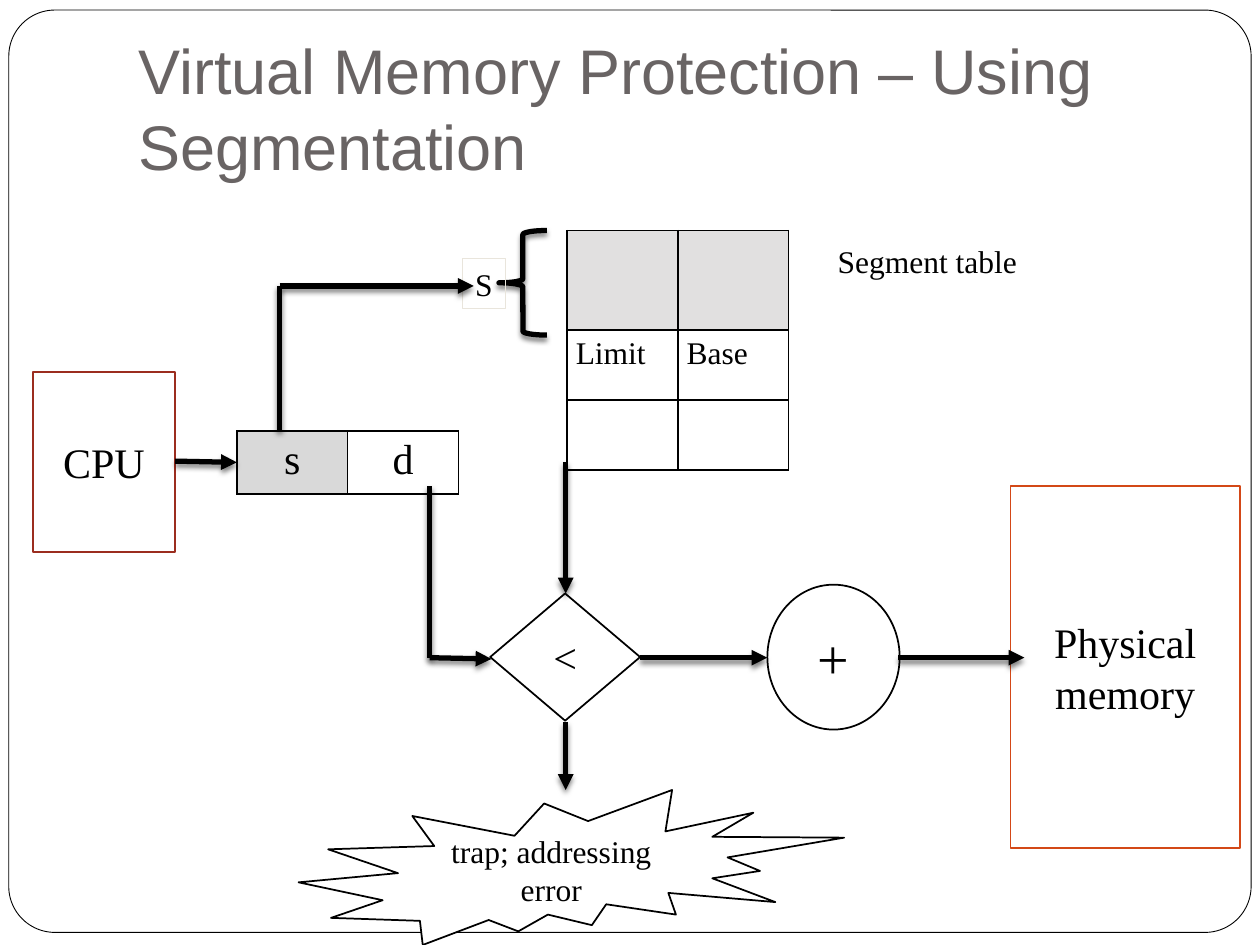
"""Build a slide showing virtual memory protection by segmentation."""
from lxml import etree
from pptx import Presentation
from pptx.dml.color import RGBColor
from pptx.enum.shapes import MSO_CONNECTOR, MSO_SHAPE
from pptx.enum.text import MSO_ANCHOR, PP_ALIGN
from pptx.oxml import parse_xml
from pptx.oxml.ns import nsdecls, qn
from pptx.util import Inches, Pt

LEFT, CENTER = PP_ALIGN.LEFT, PP_ALIGN.CENTER
TOP, MIDDLE, BOTTOM = MSO_ANCHOR.TOP, MSO_ANCHOR.MIDDLE, MSO_ANCHOR.BOTTOM
STRAIGHT = MSO_CONNECTOR.STRAIGHT
RECT, ROUNDED = MSO_SHAPE.RECTANGLE, MSO_SHAPE.ROUNDED_RECTANGLE
DIAMOND, OVAL = MSO_SHAPE.FLOWCHART_DECISION, MSO_SHAPE.OVAL
BURST, BRACE = MSO_SHAPE.EXPLOSION2, MSO_SHAPE.LEFT_BRACE

HEX = {
    "white": "FFFFFF", "black": "000000", "title": "696464",
    "cpu": "9B2D1F", "memory": "D34817", "label": "E9E5DC",
    "selector": "D9D9D9", "entry": "E1E0E0",
}
COLOR = {name: RGBColor.from_string(value) for name, value in HEX.items()}
SERIF, SANS = "Times New Roman", "Arial"

prs = Presentation()
prs.slide_width, prs.slide_height = Inches(10), Inches(7.5)
COL, ROW = prs.slide_width / 100, prs.slide_height / 75
slide = prs.slides.add_slide(prs.slide_layouts[6])
shapes = slide.shapes


def write(frame, text, size, align=CENTER, anchor=MIDDLE, font=SERIF, color="black"):
    frame.word_wrap = True
    frame.vertical_anchor = anchor
    paragraph = frame.paragraphs[0]
    paragraph.alignment = align
    run = paragraph.add_run()
    run.text = text
    run.font.size, run.font.name = Pt(size), font
    run.font.color.rgb = COLOR[color]


def cast_shadow(properties):
    for effects in properties.findall(qn("a:effectLst")):
        properties.remove(effects)
    properties.append(parse_xml(
        f'<a:effectLst {nsdecls("a")}><a:outerShdw blurRad="{Pt(3)}" dist="{Pt(2)}" '
        f'dir="5400000" rotWithShape="0"><a:srgbClr val="{HEX["black"]}">'
        '<a:alpha val="50000"/></a:srgbClr></a:outerShdw></a:effectLst>'))


frame_border = shapes.add_shape(
    ROUNDED, int(0.7 * COL), int(0.8 * ROW), int(98.6 * COL), int(73.2 * ROW))
frame_border.adjustments[0] = 0.05
frame_border.shadow.inherit = False
frame_border.fill.solid()
frame_border.fill.fore_color.rgb = COLOR["white"]
frame_border.line.color.rgb = COLOR["black"]
frame_border.line.width = Pt(0.5)

title = shapes.add_textbox(int(10 * COL), int(3 * ROW), int(85 * COL), int(12.5 * ROW))
title.text_frame.margin_bottom = Inches(0.1)
write(title.text_frame, "Virtual Memory Protection – Using Segmentation", 36,
      LEFT, BOTTOM, SANS, "title")

tables = [
    (18.8, 34.2, [4.7], [["s", "d"]], [["selector", "white"]], 24, CENTER),
    (45, 18.3, [7.9, 5.55, 5.55], [["", ""], ["Limit", "Base"], ["", ""]],
     [["entry"] * 2, ["white"] * 2, ["white"] * 2], 18, LEFT),
]
for left, top, heights, texts, fills, size, align in tables:
    table = shapes.add_table(len(heights), 2, int(left * COL), int(top * ROW),
                             int(17.6 * COL), int(sum(heights) * ROW)).table
    table.first_row = table.horz_banding = False
    for column in table.columns:
        column.width = int(8.8 * COL)
    for row, height, row_texts, row_fills in zip(table.rows, heights, texts, fills):
        row.height = int(height * ROW)
        for cell, text, fill in zip(row.cells, row_texts, row_fills):
            cell.margin_left = cell.margin_right = Inches(0.07)
            cell.margin_top = cell.margin_bottom = Inches(0.05)
            cell.fill.solid()
            cell.fill.fore_color.rgb = COLOR[fill]
            if text:
                write(cell.text_frame, text, size, align, TOP)
            for place, side in enumerate(("lnL", "lnR", "lnT", "lnB")):
                cell._tc.get_or_add_tcPr().insert(place, parse_xml(
                    f'<a:{side} {nsdecls("a")} w="{Pt(1)}"><a:solidFill>'
                    f'<a:srgbClr val="{HEX["black"]}"/></a:solidFill></a:{side}>'))

segment_caption = shapes.add_textbox(
    int(65.5 * COL), int(18.7 * ROW), int(18.5 * COL), int(4 * ROW))
write(segment_caption.text_frame, "Segment table", 18, LEFT, TOP)

brace = shapes.add_shape(BRACE, int(39.6 * COL), int(18.3 * ROW), int(3.8 * COL), int(8.3 * ROW))
brace.fill.background()
brace.line.color.rgb = COLOR["black"]
brace.line.width = Pt(3)
cast_shadow(brace._element.spPr)

blocks = [
    (RECT, 2.6, 29.5, 11.3, 14.3, "cpu", 1, "CPU", 24),
    (DIAMOND, 38.9, 47.1, 11.9, 10.1, "black", 1, "<", 24),
    (OVAL, 60.9, 46.4, 10.5, 11.5, "black", 1, "+", 32),
    (RECT, 80.2, 38.6, 18.2, 28.7, "memory", 1, "Physical memory", 24),
    (RECT, 36.7, 20.5, 3.4, 4, "label", 0.75, "S", 18),
    (BURST, 23.7, 62.7, 43.3, 12.3, "black", 1, "trap; addressing error", 18),
]
for kind, left, top, width, height, outline, weight, text, size in blocks:
    block = shapes.add_shape(
        kind, int(left * COL), int(top * ROW), int(width * COL), int(height * ROW))
    block.shadow.inherit = False
    block.fill.solid()
    block.fill.fore_color.rgb = COLOR["white"]
    if text == "S":
        block.fill.background()
    block.line.color.rgb = COLOR[outline]
    block.line.width = Pt(weight)
    write(block.text_frame, text, size)
    block.text_frame.word_wrap = text != "S"

flows = [
    (13.9, 36.6, 18.8, 36.7, True),
    (34.1, 52.2, 39, 52.3, True),
    (50.8, 52.2, 60.9, 52.2, True),
    (71.3, 52.2, 81.3, 52.2, True),
    (44.9, 57.3, 44.9, 62.7, True),
    (34.1, 38.6, 34.1, 52.2, False),
    (44.9, 36.7, 44.9, 47.1, True),
    (22.2, 22.7, 22.2, 34.1, False),
    (22.2, 22.7, 37.6, 22.7, True),
]
for x1, y1, x2, y2, has_arrow in flows:
    flow = shapes.add_connector(
        STRAIGHT, int(x1 * COL), int(y1 * ROW), int(x2 * COL), int(y2 * ROW))
    flow.line.color.rgb = COLOR["black"]
    flow.line.width = Pt(3)
    if has_arrow:
        etree.SubElement(flow.line._get_or_add_ln(), qn("a:tailEnd"), type="triangle")
    cast_shadow(flow._element.spPr)

prs.save("out.pptx")
